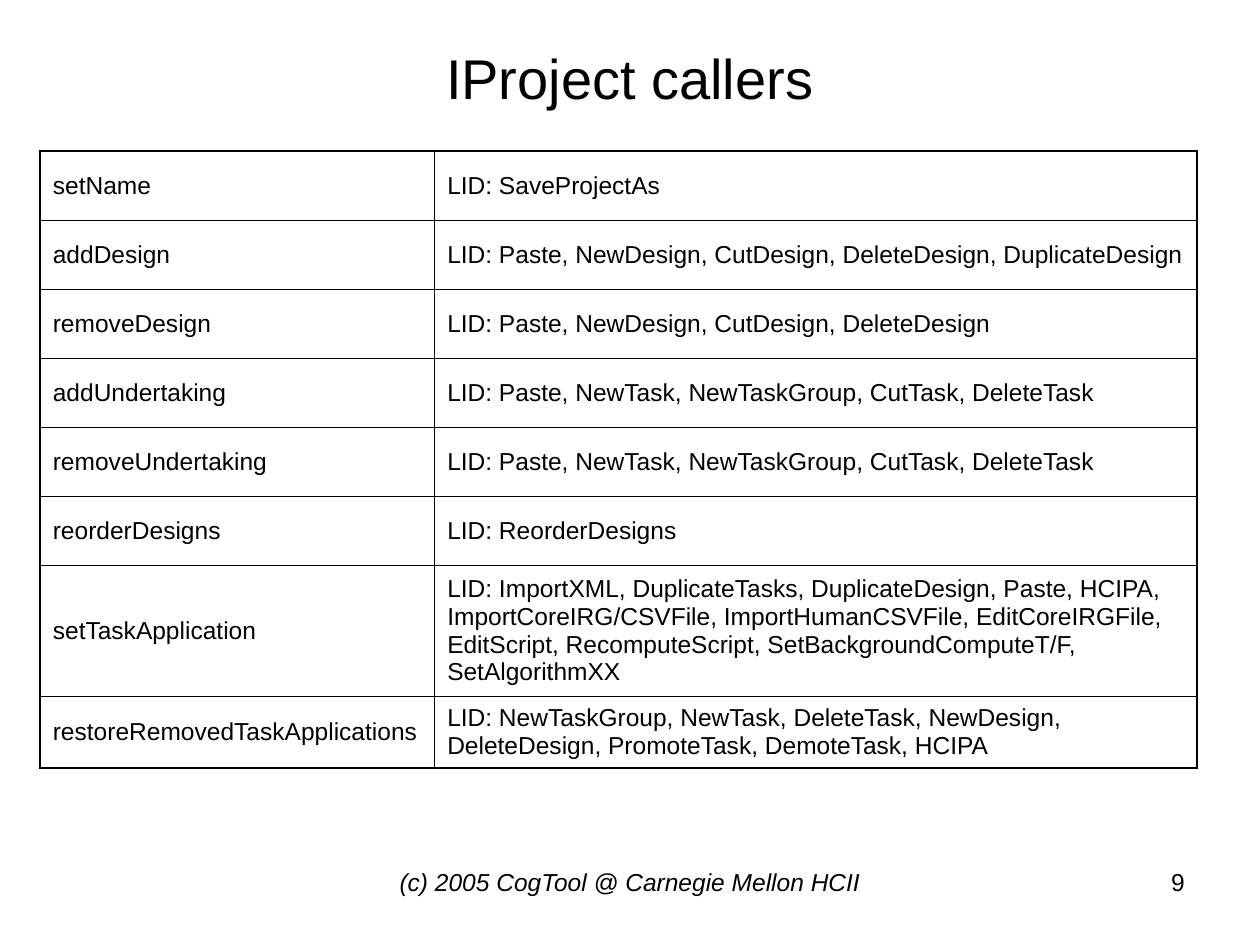
"""Build a slide with a table of the callers of each IProject method."""
from lxml.etree import SubElement
from pptx import Presentation
from pptx.dml.color import RGBColor
from pptx.enum.text import MSO_ANCHOR, PP_ALIGN
from pptx.oxml.ns import qn
from pptx.util import Pt

TITLE = "IProject callers"
FOOTER = "(c) 2005 CogTool @ Carnegie Mellon HCII"
PAGE_NUMBER = "9"
CALLERS = [
    ("setName", "LID: SaveProjectAs"),
    ("addDesign", "LID: Paste, NewDesign, CutDesign, DeleteDesign, DuplicateDesign"),
    ("removeDesign", "LID: Paste, NewDesign, CutDesign, DeleteDesign"),
    ("addUndertaking", "LID: Paste, NewTask, NewTaskGroup, CutTask, DeleteTask"),
    ("removeUndertaking", "LID: Paste, NewTask, NewTaskGroup, CutTask, DeleteTask"),
    ("reorderDesigns", "LID: ReorderDesigns"),
    ("setTaskApplication",
     "LID: ImportXML, DuplicateTasks, DuplicateDesign, Paste, HCIPA, "
     "ImportCoreIRG/CSVFile, ImportHumanCSVFile, EditCoreIRGFile, EditScript, "
     "RecomputeScript, SetBackgroundComputeT/F, SetAlgorithmXX"),
    ("restoreRemovedTaskApplications",
     "LID: NewTaskGroup, NewTask, DeleteTask, NewDesign, DeleteDesign, "
     "PromoteTask, DemoteTask, HCIPA"),
]
COLORS = {"text": "000000", "border": "000000"}
FONT = "Arial"
COLUMN_WIDTHS = [225.4, 435.6]
ROW_HEIGHTS = [39.43] * 6 + [74.9, 41]
OUTER_LINE, INNER_LINE = 1.08, 0.45


def write_text(frame, text, size=14, italic=False, align=PP_ALIGN.LEFT):
    """Write one formatted paragraph into a text frame."""
    frame.word_wrap = True
    paragraph = frame.paragraphs[0]
    paragraph.alignment = align
    run = paragraph.add_run()
    run.text = text
    run.font.name = FONT
    run.font.size = Pt(size)
    run.font.italic = italic
    run.font.color.rgb = RGBColor.from_string(COLORS["text"])


def add_text_box(slide, text, box, anchor=MSO_ANCHOR.TOP, **text_format):
    """Add a text box at left, top, width, height."""
    shape = slide.shapes.add_textbox(*map(Pt, box))
    shape.text_frame.vertical_anchor = anchor
    write_text(shape.text_frame, text, **text_format)


def set_borders(cell, widths):
    """Draw the cell edges, given as a dict of edge tag to width."""
    properties = cell._tc.get_or_add_tcPr()
    for position, (edge, width) in enumerate(widths.items()):
        line = SubElement(properties, qn(f"a:{edge}"), w=str(Pt(width)))
        fill = SubElement(line, qn("a:solidFill"))
        SubElement(fill, qn("a:srgbClr"), val=COLORS["border"])
        properties.insert(position, line)


def add_caller_table(slide, left, top):
    """Add the table with a heavier outer frame."""
    rows, columns = len(CALLERS), len(COLUMN_WIDTHS)
    table = slide.shapes.add_table(
        rows, columns, Pt(left), Pt(top),
        Pt(sum(COLUMN_WIDTHS)), Pt(sum(ROW_HEIGHTS))).table
    table.first_row = table.horz_banding = False
    for column, width in zip(table.columns, COLUMN_WIDTHS):
        column.width = Pt(width)
    for row, height in zip(table.rows, ROW_HEIGHTS):
        row.height = Pt(height)
    for row_index, texts in enumerate(CALLERS):
        for column_index, text in enumerate(texts):
            cell = table.cell(row_index, column_index)
            cell.fill.background()
            cell.vertical_anchor = MSO_ANCHOR.MIDDLE
            write_text(cell.text_frame, text)
            outer_edges = {
                "lnL": column_index == 0,
                "lnR": column_index == columns - 1,
                "lnT": row_index == 0,
                "lnB": row_index == rows - 1,
            }
            set_borders(cell, {edge: OUTER_LINE if outer else INNER_LINE
                               for edge, outer in outer_edges.items()})


def main():
    """Build and save the presentation."""
    presentation = Presentation()
    presentation.slide_width, presentation.slide_height = Pt(720), Pt(540)
    slide = presentation.slides.add_slide(presentation.slide_layouts[6])
    add_text_box(slide, TITLE, (36, 21.6, 648, 44.64), anchor=MSO_ANCHOR.MIDDLE,
                 size=32, align=PP_ALIGN.CENTER)
    add_caller_table(slide, 23, 86.4)
    add_text_box(slide, FOOTER, (204, 492, 312, 37.5), italic=True, align=PP_ALIGN.CENTER)
    add_text_box(slide, PAGE_NUMBER, (516, 492, 168, 37.5), align=PP_ALIGN.RIGHT)
    presentation.save("out.pptx")


if __name__ == "__main__":
    main()
